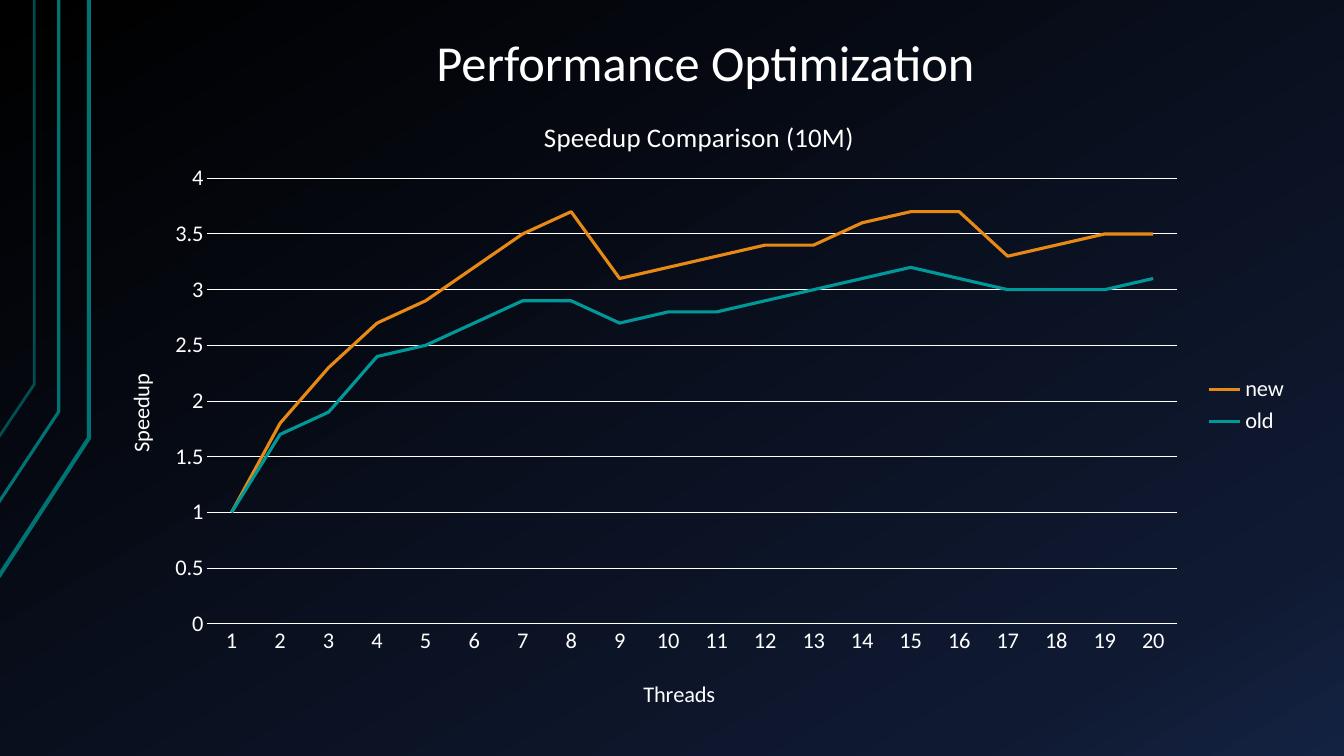
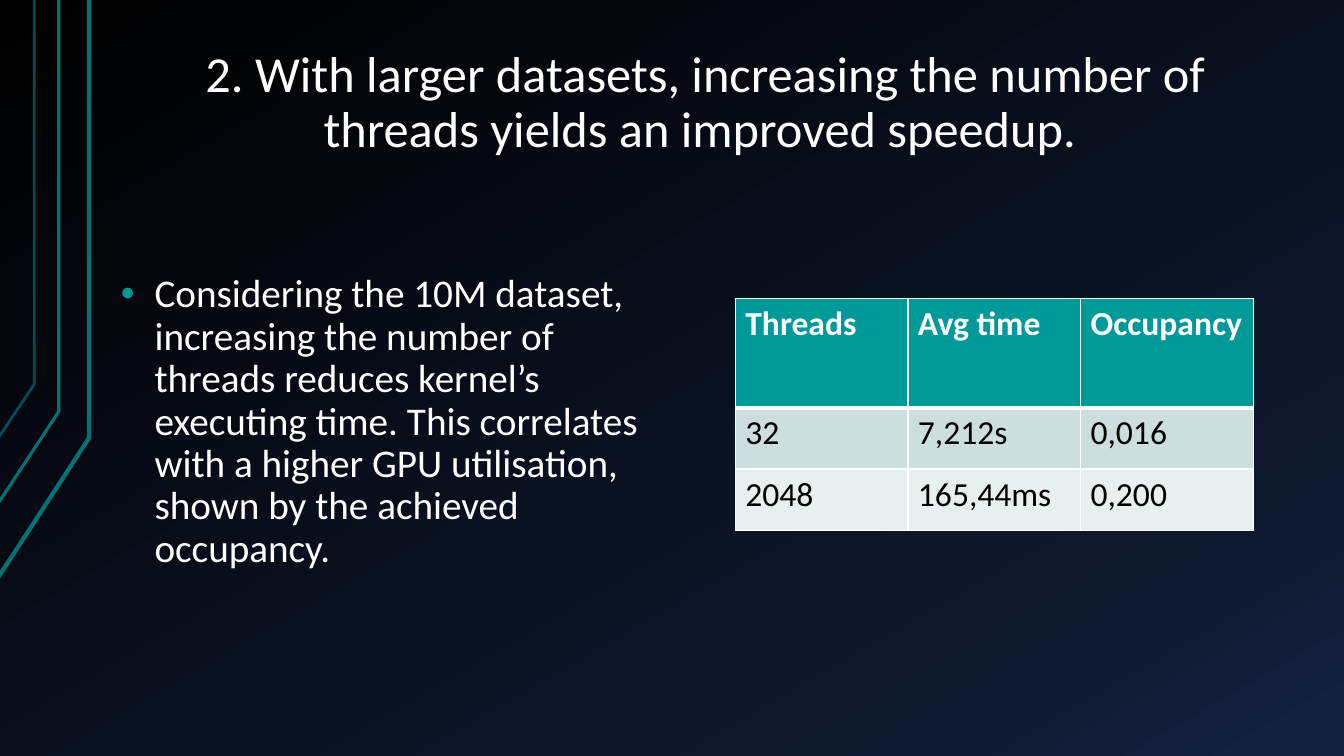
"""Build two slides on thread counts and speedup."""
from copy import deepcopy
from lxml.etree import SubElement
from pptx import Presentation
from pptx.chart.data import CategoryChartData
from pptx.dml.color import RGBColor
from pptx.enum.chart import XL_CHART_TYPE, XL_LEGEND_POSITION, XL_TICK_MARK
from pptx.enum.text import MSO_ANCHOR, PP_ALIGN
from pptx.oxml.ns import qn
from pptx.util import Pt

FONT = "Calibri"
WHITE, BLACK, TEAL, DEEP, AMBER = "FFFFFF", "000000", "009999", "007373", "E98915"
STOPS = [(0, BLACK), (0.85, "0F1931"), (1, "142242")]
BENDS = [(63.5, 313, 412, 3, 100), (42, 294, 359, 2.25, 100), (24.5, 274.5, 312.5, 2, 65)]
BANDS = [TEAL, "CCDEDE", "E7EFEF"]


def paint(fill, color):
    fill.solid()
    fill.fore_color.rgb = RGBColor.from_string(color)


def style(font, size, color=WHITE, bold=False):
    font.name, font.size, font.bold = FONT, Pt(size), bold
    paint(font.fill, color)


def write(frame, text, size=16, color=WHITE, bold=False, align=None, space=None, before=None):
    para = frame.paragraphs[0]
    run = para.add_run()
    run.text = text
    style(run.font, size, color, bold)
    if align is not None:
        para.alignment = align
    if space:
        para.line_spacing = space
    if before:
        para.space_before = Pt(before)
    return para


def place(node, index, **spots):
    for old in node.findall(qn("c:layout")):
        node.remove(old)
    layout = SubElement(node, qn("c:layout"))
    node.insert(index, layout)
    manual = SubElement(layout, qn("c:manualLayout"))
    if "w" in spots:
        SubElement(manual, qn("c:layoutTarget"), val="inner")
    for mode in ("xMode", "yMode"):
        SubElement(manual, qn("c:" + mode), val="edge")
    for name, value in spots.items():
        SubElement(manual, qn("c:" + name), val=str(value))


class Deck:
    def __init__(self):
        self.show = Presentation()
        self.show.slide_width, self.show.slide_height = Pt(960), Pt(540)
        self.slide = None
        ground = self.show.slide_master.background
        ground.fill.gradient()
        ground.fill.gradient_angle = 300
        stops = self.show.slide_master.element.find(".//" + qn("a:gsLst"))
        stops.append(deepcopy(stops[0]))
        for stop, (spot, color) in zip(ground.fill.gradient_stops, STOPS):
            stop.position = spot
            stop.color.rgb = RGBColor.from_string(color)

    def page(self, title, height):
        self.slide = self.show.slides.add_slide(self.show.slide_layouts[6])
        for bend in BENDS:
            self.bend(*bend)
        frame = self.box(96, 21.6, 816, height)
        frame.vertical_anchor = MSO_ANCHOR.BOTTOM
        write(frame, title, size=36, align=PP_ALIGN.CENTER, space=0.9)

    def bend(self, x, knee, foot, width, alpha):
        pen = self.slide.shapes.build_freeform(Pt(-1), Pt(foot))
        pen.add_line_segments([(Pt(x), Pt(knee)), (Pt(x), 0)], close=False)
        shape = pen.convert_to_shape()
        shape.shadow.inherit = False
        shape.fill.background()
        shape.line.width = Pt(width)
        paint(shape.line.fill, DEEP)
        if alpha < 100:
            color = shape.element.find(".//" + qn("a:ln")).find(".//" + qn("a:srgbClr"))
            SubElement(color, qn("a:alpha"), val=str(alpha * 1000))

    def box(self, x, y, width, height):
        frame = self.slide.shapes.add_textbox(Pt(x), Pt(y), Pt(width), Pt(height)).text_frame
        frame.word_wrap = True
        frame.margin_left = frame.margin_right = Pt(9.4)
        frame.margin_top = frame.margin_bottom = Pt(5)
        return frame

    def bullet(self, text, x, y, width, height):
        para = write(self.box(x, y, width, height), text, size=28, space=0.9, before=16)
        props = para._p.get_or_add_pPr()
        props.set("marL", str(Pt(24)))
        props.set("indent", str(Pt(-24)))
        SubElement(SubElement(props, qn("a:buClr")), qn("a:srgbClr"), val=TEAL)
        SubElement(props, qn("a:buFont"), typeface="Arial")
        SubElement(props, qn("a:buChar"), char="•")

    def chart(self, title, x_name, y_name, lines, x, y, width, height):
        data = CategoryChartData()
        data.categories = [str(n) for n in range(1, 21)]
        for name, values, _ in lines:
            data.add_series(name, values)
        chart = self.slide.shapes.add_chart(
            XL_CHART_TYPE.LINE, Pt(x), Pt(y), Pt(width), Pt(height), data).chart
        style(chart.font, 16)
        write(chart.chart_title.text_frame, title, size=19.2)
        chart.has_legend = True
        chart.legend.position = XL_LEGEND_POSITION.RIGHT
        chart.legend.include_in_layout = False
        style(chart.legend.font, 16)
        base, side = chart.category_axis, chart.value_axis
        for axis, name in ((base, x_name), (side, y_name)):
            write(axis.axis_title.text_frame, name)
            axis.major_tick_mark = axis.minor_tick_mark = XL_TICK_MARK.NONE
            style(axis.tick_labels.font, 16)
        side.axis_title.text_frame._txBody.bodyPr.set("rot", "-5400000")
        side.minimum_scale, side.maximum_scale, side.major_unit = 0, 4, 0.5
        side.format.line.fill.background()
        for line in (base.format.line, side.major_gridlines.format.line):
            line.width = Pt(0.75)
            paint(line.fill, WHITE)
        chart.plots[0].vary_by_categories = False
        for series, (_, _, color) in zip(chart.plots[0].series, lines):
            series.smooth = False
            series.format.line.width = Pt(2.25)
            paint(series.format.line.fill, color)
        root = chart._chartSpace
        place(root.xpath(".//c:plotArea")[0], 0, x=0.095, y=0.146, w=0.804, h=0.695)
        spots = [(0.37, 0.045), (0.453, 0.92), (0.024, 0.445)]
        for node, (left, top) in zip(root.xpath(".//c:title"), spots):
            place(node, 1, x=left, y=top)

    def table(self, rows, x, y, width, heights):
        count = len(rows[0])
        table = self.slide.shapes.add_table(
            len(rows), count, Pt(x), Pt(y), Pt(width), Pt(sum(heights))).table
        for col in table.columns:
            col.width = Pt(width / count)
        for r, (row, height) in enumerate(zip(rows, heights)):
            table.rows[r].height = Pt(height)
            for c, text in enumerate(row):
                cell = table.cell(r, c)
                write(cell.text_frame, text, size=24, color=BLACK if r else WHITE, bold=not r)
                self.edge(cell, L=1, R=1, T=3 if r == 1 else 1, B=1 if r else 3)
                paint(cell.fill, BANDS[r])

    def edge(self, cell, **widths):
        props = cell._tc.get_or_add_tcPr()
        for side, width in widths.items():
            line = SubElement(props, qn("a:ln" + side), w=str(Pt(width)))
            SubElement(SubElement(line, qn("a:solidFill")), qn("a:srgbClr"), val=WHITE)


def main():
    deck = Deck()
    deck.page("Performance Optimization", 49.7)
    new = [1, 1.8, 2.3, 2.7, 2.9, 3.2, 3.5, 3.7, 3.1, 3.2,
           3.3, 3.4, 3.4, 3.6, 3.7, 3.7, 3.3, 3.4, 3.5, 3.5]
    old = [1, 1.7, 1.9, 2.4, 2.5, 2.7, 2.9, 2.9, 2.7, 2.8,
           2.8, 2.9, 3, 3.1, 3.2, 3.1, 3, 3, 3, 3.1]
    deck.chart("Speedup Comparison (10M)", "Threads", "Speedup",
               [("new", new, AMBER), ("old", old, TEAL)], 66.2, 60.5, 862, 458)
    deck.page("2. With larger datasets, increasing the number of threads "
              "yields an improved speedup. ", 96.5)
    deck.bullet("Considering the 10M dataset, increasing the number of threads reduces "
                "kernel’s executing time. This correlates with a higher GPU utilisation, "
                "shown by the achieved occupancy.", 77, 190.8, 402.5, 294.5)
    deck.table([["Threads", "Avg time", "Occupancy"],
                ["32", "7,212s", "0,016"],
                ["2048", "165,44ms", "0,200"]], 525.2, 213, 370, [78.4, 43.7, 43.7])
    deck.show.save("out.pptx")


if __name__ == "__main__":
    main()
